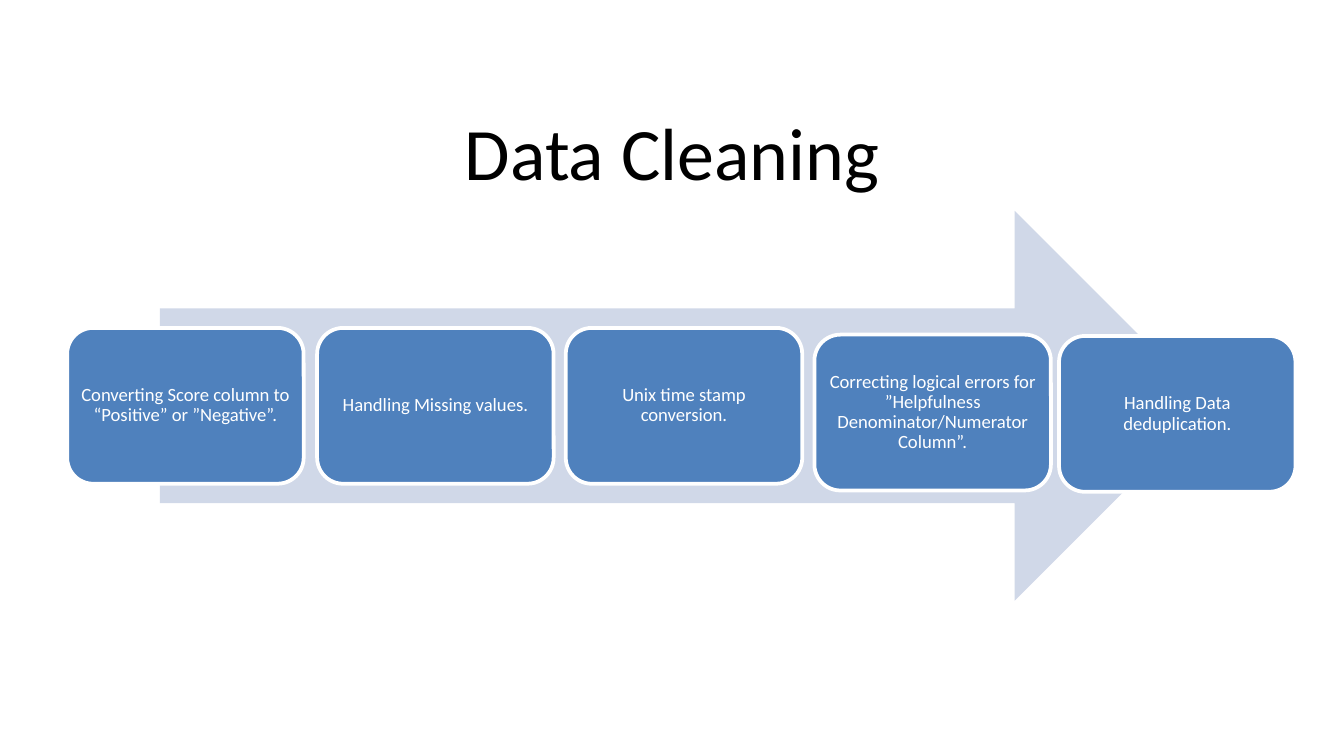
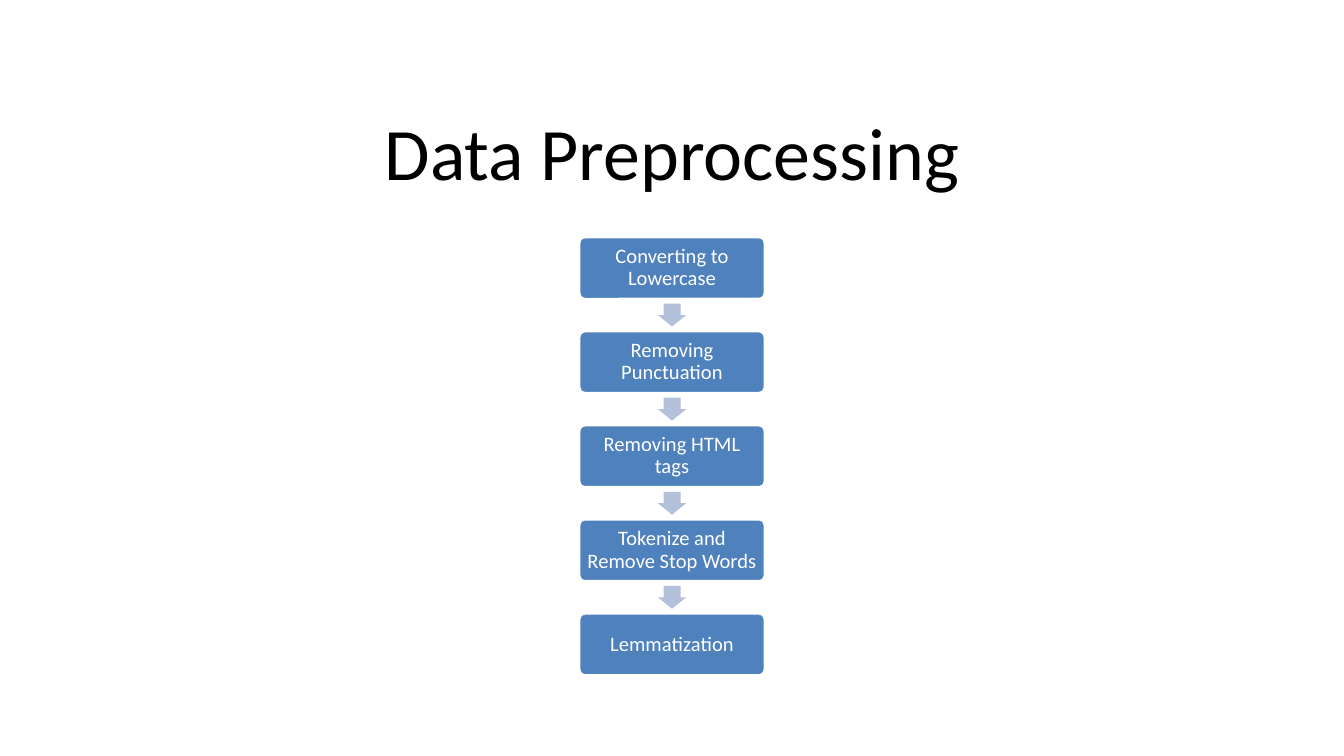
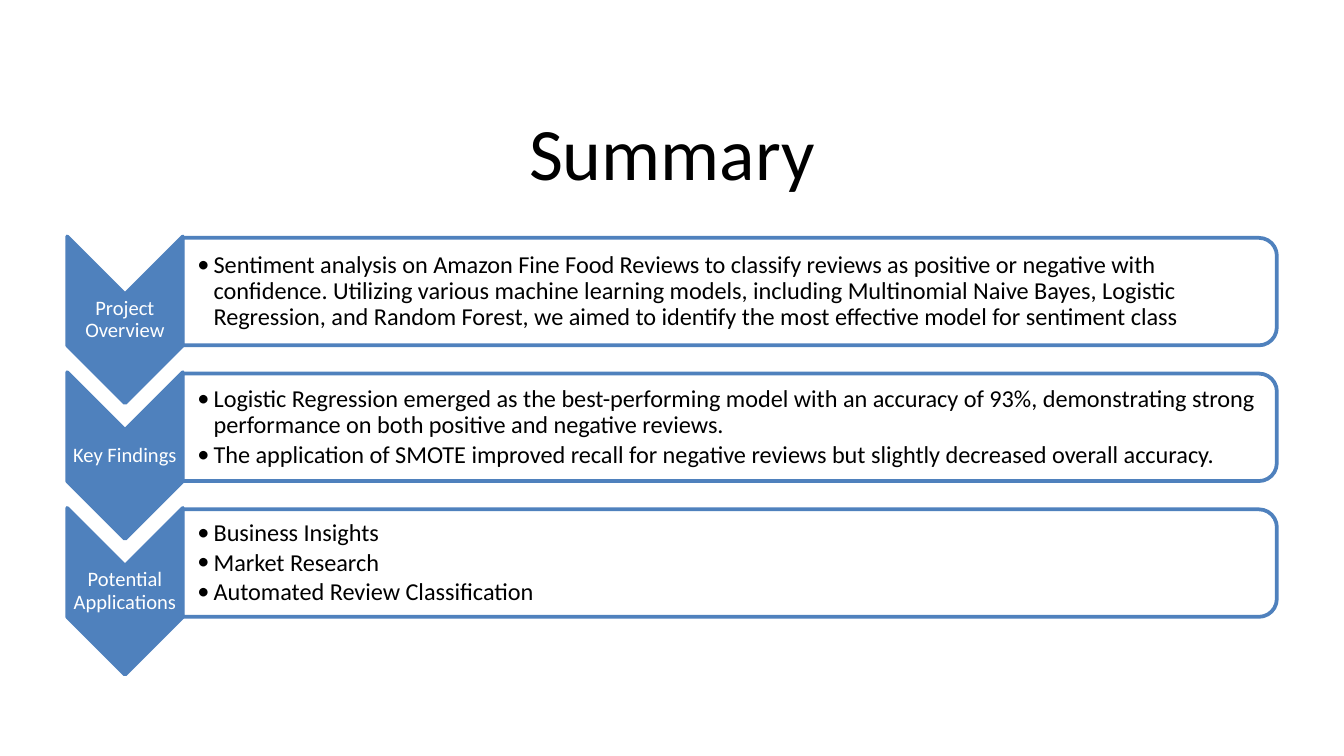
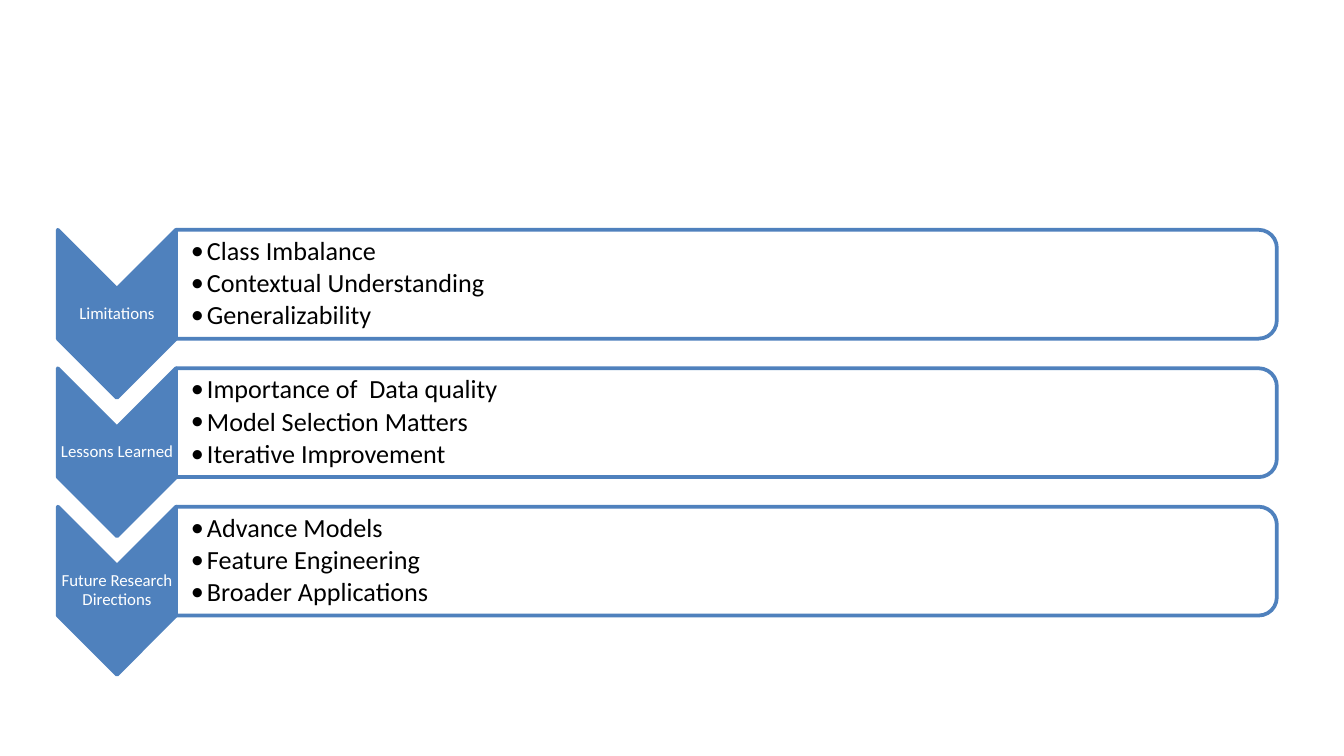
from lxml import etree
from pptx import Presentation
from pptx.dml.color import RGBColor
from pptx.enum.shapes import MSO_SHAPE
from pptx.enum.text import MSO_ANCHOR, PP_ALIGN
from pptx.oxml.ns import qn
from pptx.util import Inches, Pt

ROUNDED = MSO_SHAPE.ROUNDED_RECTANGLE
ARROW = MSO_SHAPE.RIGHT_ARROW
CHEVRON = MSO_SHAPE.CHEVRON
PANEL = MSO_SHAPE.ROUND_2_SAME_RECTANGLE
CENTER = PP_ALIGN.CENTER
LEFT = PP_ALIGN.LEFT
MIDDLE = MSO_ANCHOR.MIDDLE

FONT = "Calibri"
BLUE, PALE_BLUE, SOFT_BLUE = "4F81BD", "D0D8E8", "B3C1DB"
WHITE, BLACK = "FFFFFF", "000000"
SLIDE_WIDTH = 10
SLIDE_HEIGHT = SLIDE_WIDTH * 9 / 16
TITLE_FRAME = (0.5, 0.77, 9, 0.7)
TITLE_ONLY, BLANK = 5, 6

CLEANING_TITLE = "Data Cleaning"
CLEANING_ARROW = (1.19, 1.57, 7.81, 2.9)
CLEANING_CARD = (1.76, 1.16)
CLEANING_STEPS = [
    (0.5, 2.44, "Converting Score column to “Positive” or ”Negative”."),
    (2.36, 2.44, "Handling Missing values."),
    (4.21, 2.44, "Unix time stamp conversion."),
    (6.06, 2.49, "Correcting logical errors for ”Helpfulness Denominator/Numerator Column”."),
    (7.88, 2.5, "Handling Data deduplication."),
]

PREPROCESSING_TITLE = "Data Preprocessing"
PREPROCESSING_STEPS = [
    "Converting to Lowercase",
    "Removing Punctuation",
    "Removing HTML tags",
    "Tokenize and Remove Stop Words",
    "Lemmatization",
]
FLOW = {"top": 1.76, "width": 1.39, "height": 0.47, "step": 0.7, "arrow": (0.21, 0.17)}

CHEVRON_LISTS = [
    {
        "title": "Summary",
        "left": 0.5, "top": 1.76, "panel_top": 1.77, "step": 1.01,
        "chevron": (0.86, 1.24), "panel": (8.14, 0.8),
        "label_size": 11, "body_size": 13,
        "rows": [
            ("Project Overview", [
                "Sentiment analysis on Amazon Fine Food Reviews to classify reviews as positive "
                "or negative with confidence. Utilizing various machine learning models, "
                "including Multinomial Naive Bayes, Logistic Regression, and Random Forest, we "
                "aimed to identify the most effective model for sentiment class",
            ]),
            ("Key Findings", [
                "Logistic Regression emerged as the best-performing model with an accuracy of "
                "93%, demonstrating strong performance on both positive and negative reviews.",
                "The application of SMOTE improved recall for negative reviews but slightly "
                "decreased overall accuracy.",
            ]),
            ("Potential Applications", [
                "Business Insights", "Market Research", "Automated Review Classification",
            ]),
        ],
    },
    {
        "title": None,
        "left": 0.43, "top": 1.71, "panel_top": 1.71, "step": 1.03,
        "chevron": (0.88, 1.25), "panel": (8.19, 0.81),
        "label_size": 9, "body_size": 14,
        "rows": [
            ("Limitations", [
                "Class Imbalance", "Contextual Understanding", "Generalizability",
            ]),
            ("Lessons Learned", [
                "Importance of  Data quality", "Model Selection Matters", "Iterative Improvement",
            ]),
            ("Future Research Directions", [
                "Advance Models", "Feature Engineering", "Broader Applications",
            ]),
        ],
    },
]


def color(value):
    return RGBColor.from_string(value)


def set_values(target, values):
    for name, value in values.items():
        setattr(target, name, value)


def add_slide(presentation, title):
    layout = presentation.slide_layouts[TITLE_ONLY if title else BLANK]
    slide = presentation.slides.add_slide(layout)
    if title:
        shape = slide.shapes.title
        left, top, width, height = map(Inches, TITLE_FRAME)
        set_values(shape, {"left": left, "top": top, "width": width, "height": height})
        write(shape, [title], 39.6, BLACK)
    return slide


def add_figure(slide, kind, frame, fill, line=None, adjustments=(), turned=False):
    left, top, width, height = frame
    if turned:
        left, top = left + (width - height) / 2, top + (height - width) / 2
        width, height = height, width
    shape = slide.shapes.add_shape(kind, *map(Inches, (left, top, width, height)))
    shape.shadow.inherit = False
    shape.rotation = 90 if turned else 0
    for index, value in enumerate(adjustments):
        shape.adjustments[index] = value
    shape.fill.solid()
    shape.fill.fore_color.rgb = color(fill)
    if line:
        shape.line.color.rgb = color(line)
        shape.line.width = Pt(2)
    else:
        shape.line.fill.background()
    return shape


def set_margins(frame, margin, left=None):
    set_values(frame, {
        "margin_left": Inches(margin if left is None else left),
        "margin_top": Inches(margin),
        "margin_right": Inches(margin),
        "margin_bottom": Inches(margin),
    })


def write(shape, lines, size, ink, align=CENTER, spacing=None, bullet=False):
    frame = shape.text_frame
    set_values(frame, {"word_wrap": True, "vertical_anchor": MIDDLE})
    for index, line in enumerate(lines):
        paragraph = frame.paragraphs[0] if index == 0 else frame.add_paragraph()
        paragraph.alignment = align
        if spacing is not None:
            set_values(paragraph, {"line_spacing": 0.9, "space_after": Pt(size * spacing)})
        if bullet:
            add_bullet(paragraph)
        run = paragraph.add_run()
        run.text = line
        set_values(run.font, {"name": FONT, "size": Pt(size)})
        run.font.color.rgb = color(ink)


def add_bullet(paragraph):
    paragraph.level = 1
    properties = paragraph._p.get_or_add_pPr()
    properties.set("marL", str(Inches(0.12)))
    properties.set("indent", str(Inches(-0.12)))
    etree.SubElement(properties, qn("a:buFont")).set("typeface", FONT)
    etree.SubElement(properties, qn("a:buChar")).set("char", "•")


def add_card(slide, frame, text, size, margin, adjustments=()):
    card = add_figure(slide, ROUNDED, frame, BLUE, WHITE, adjustments)
    set_margins(card.text_frame, margin)
    write(card, [text], size, WHITE, spacing=0.35)


def add_text(slide, frame, lines, size, ink, left_margin=0.01, **options):
    box = slide.shapes.add_textbox(*map(Inches, frame))
    set_margins(box.text_frame, 0.01, left_margin)
    write(box, lines, size, ink, **options)


def build_cleaning(presentation):
    slide = add_slide(presentation, CLEANING_TITLE)
    add_figure(slide, ARROW, CLEANING_ARROW, PALE_BLUE)
    for left, top, text in CLEANING_STEPS:
        add_card(slide, (left, top, *CLEANING_CARD), text, 10, 0.04)


def build_preprocessing(presentation):
    slide = add_slide(presentation, PREPROCESSING_TITLE)
    width, height, step = FLOW["width"], FLOW["height"], FLOW["step"]
    arrow_width, arrow_height = FLOW["arrow"]
    center = SLIDE_WIDTH / 2
    for index, text in enumerate(PREPROCESSING_STEPS):
        top = FLOW["top"] + index * step
        if index:
            arrow_top = top - (step - height + arrow_height) / 2
            arrow_frame = (center - arrow_width / 2, arrow_top, arrow_width, arrow_height)
            add_figure(slide, ARROW, arrow_frame, SOFT_BLUE, adjustments=(0.6, 0.5), turned=True)
        add_card(slide, (center - width / 2, top, width, height), text, 11, 0.05, (0.1,))


def build_chevron_list(presentation, content):
    slide = add_slide(presentation, content["title"])
    left = content["left"]
    width, length = content["chevron"]
    panel_width, panel_height = content["panel"]
    panel_left = left + width
    for index, (label, points) in enumerate(content["rows"]):
        top = content["top"] + index * content["step"]
        panel_top = content["panel_top"] + index * content["step"]
        add_figure(slide, CHEVRON, (left, top, width, length), BLUE, BLUE, turned=True)
        add_text(slide, (left, top + width / 2, width, length - width), [label],
                 content["label_size"], WHITE, spacing=0.35)
        panel = add_figure(slide, PANEL, (panel_left, panel_top, panel_width, panel_height),
                           WHITE, BLUE, turned=True)
        fill_color = panel.fill._xPr.find(qn("a:solidFill"))[0]
        etree.SubElement(fill_color, qn("a:alpha")).set("val", "90000")
        text_frame = (panel_left, panel_top + 0.04, panel_width - 0.04, panel_height - 0.08)
        add_text(slide, text_frame, points, content["body_size"], BLACK, left_margin=0.11,
                 align=LEFT, spacing=0.15, bullet=True)


def main():
    presentation = Presentation()
    presentation.slide_width = Inches(SLIDE_WIDTH)
    presentation.slide_height = Inches(SLIDE_HEIGHT)
    build_cleaning(presentation)
    build_preprocessing(presentation)
    for content in CHEVRON_LISTS:
        build_chevron_list(presentation, content)
    presentation.save("out.pptx")


if __name__ == "__main__":
    main()
